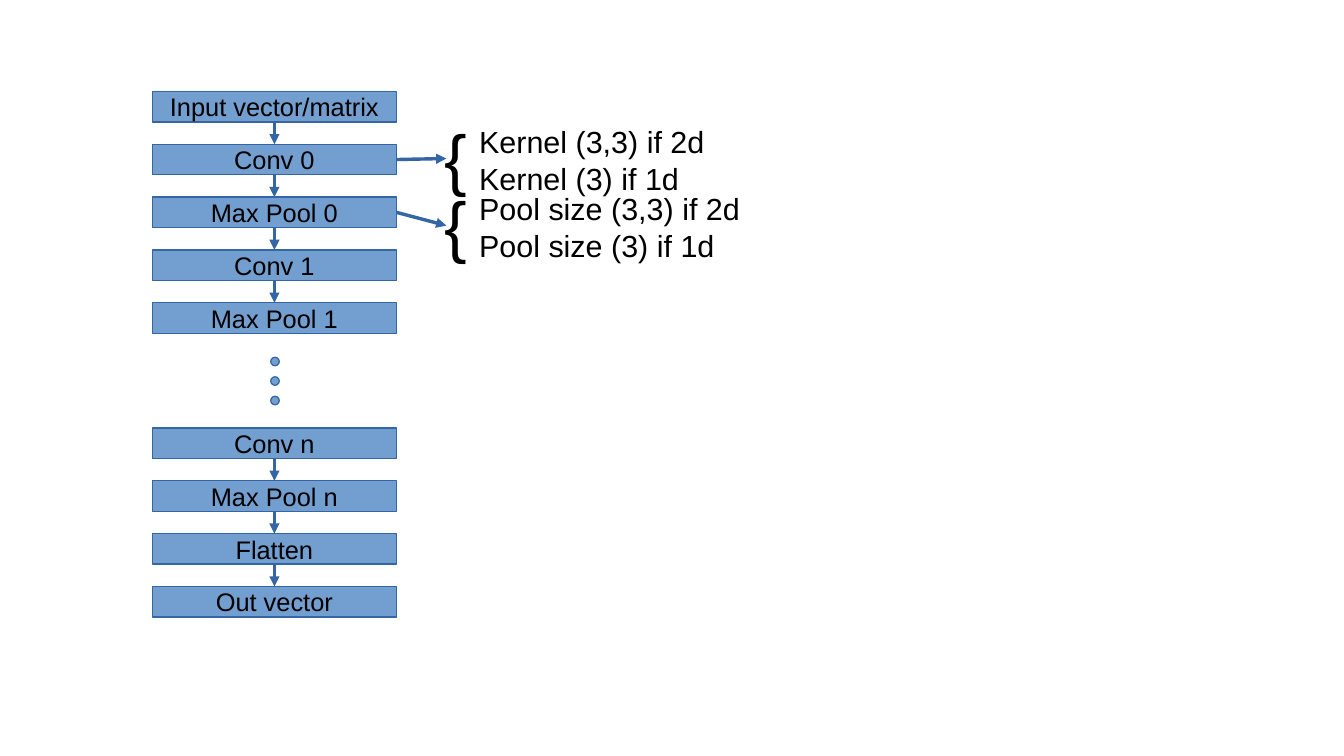
from itertools import pairwise

from lxml.etree import SubElement
from pptx import Presentation
from pptx.dml.color import RGBColor
from pptx.enum.shapes import MSO_CONNECTOR, MSO_SHAPE
from pptx.enum.text import MSO_ANCHOR, MSO_AUTO_SIZE, PP_ALIGN
from pptx.oxml.ns import qn
from pptx.util import Inches, Pt

FILL = RGBColor(0x72, 0x9F, 0xCF)
OUTLINE = RGBColor(0x34, 0x65, 0xA4)
BLACK = RGBColor(0, 0, 0)

LAYER_LEFT, LAYER_WIDTH, LAYER_HEIGHT = 1.25, 2, 0.25
LAYER_PITCH = 1.3 / 3
TOP, BOTTOM, RIGHT = 0, 2, 3


class NetworkDiagram:
    font_name = "Arial"

    def __init__(self, slide):
        self.slide = slide

    def label(self, paragraph, text, size):
        run = paragraph.add_run()
        run.text = text
        run.font.name = self.font_name
        run.font.size = Pt(size)
        run.font.color.rgb = BLACK

    def outline(self, line):
        line.color.rgb = OUTLINE
        line.width = Pt(0)

    def shape(self, preset, left, top, width, height):
        shape = self.slide.shapes.add_shape(
            preset, Inches(left), Inches(top), Inches(width), Inches(height))
        shape.shadow.inherit = False
        shape.fill.solid()
        shape.fill.fore_color.rgb = FILL
        self.outline(shape.line)
        return shape

    def layer(self, name, top):
        layer = self.shape(MSO_SHAPE.RECTANGLE, LAYER_LEFT, top, LAYER_WIDTH, LAYER_HEIGHT)
        frame = layer.text_frame
        frame.vertical_anchor = MSO_ANCHOR.MIDDLE
        frame.paragraphs[0].alignment = PP_ALIGN.CENTER
        self.label(frame.paragraphs[0], name, 15)
        return layer

    def stack(self, names, top):
        layers = [self.layer(name, top + row * LAYER_PITCH) for row, name in enumerate(names)]
        for upper, lower in pairwise(layers):
            link = self.arrow(upper, BOTTOM)
            link.end_connect(lower, TOP)
        return layers

    def arrow(self, source, site, end_x=0, end_y=0):
        arrow = self.slide.shapes.add_connector(
            MSO_CONNECTOR.STRAIGHT, 0, 0, Inches(end_x), Inches(end_y))
        arrow.begin_connect(source, site)
        self.outline(arrow.line)
        properties = arrow._element.spPr
        SubElement(properties.get_or_add_ln(), qn("a:tailEnd"), type="triangle")
        SubElement(properties, qn("a:effectLst"))
        return arrow

    def text(self, lines, left, top, width, height, size, wrap):
        box = self.slide.shapes.add_textbox(
            Inches(left), Inches(top), Inches(width), Inches(height))
        frame = box.text_frame
        frame.word_wrap = wrap
        frame.auto_size = MSO_AUTO_SIZE.SHAPE_TO_FIT_TEXT
        for row, line in enumerate(lines):
            paragraph = frame.add_paragraph() if row else frame.paragraphs[0]
            self.label(paragraph, line, size)

    def note(self, layer, lines, top, width):
        self.text(["{"], 3.55, top, 0.28, 0.72, 40, True)
        self.text(lines, 3.83, top + 0.06, width, 0.66, 18, False)
        self.arrow(layer, RIGHT, 3.66, top + 0.4)


def main():
    deck = Presentation()
    deck.slide_width, deck.slide_height = Inches(11.02), Inches(6.2)
    diagram = NetworkDiagram(deck.slides.add_slide(deck.slide_layouts[6]))

    first_layers = diagram.stack(
        ["Input vector/matrix", "Conv 0", "Max Pool 0", "Conv 1", "Max Pool 1"], 0.75)
    for dot in range(3):
        diagram.shape(MSO_SHAPE.OVAL, 2.22, 2.93 + dot * 0.16, 0.07, 0.07)
    diagram.stack(["Conv n", "Max Pool n", "Flatten", "Out vector"], 3.51)

    diagram.note(first_layers[1], ["Kernel (3,3) if 2d", "Kernel (3) if 1d"], 0.9, 2.05)
    diagram.note(first_layers[2], ["Pool size (3,3) if 2d", "Pool size (3) if 1d"], 1.45, 2.34)

    deck.save("out.pptx")


if __name__ == "__main__":
    main()
